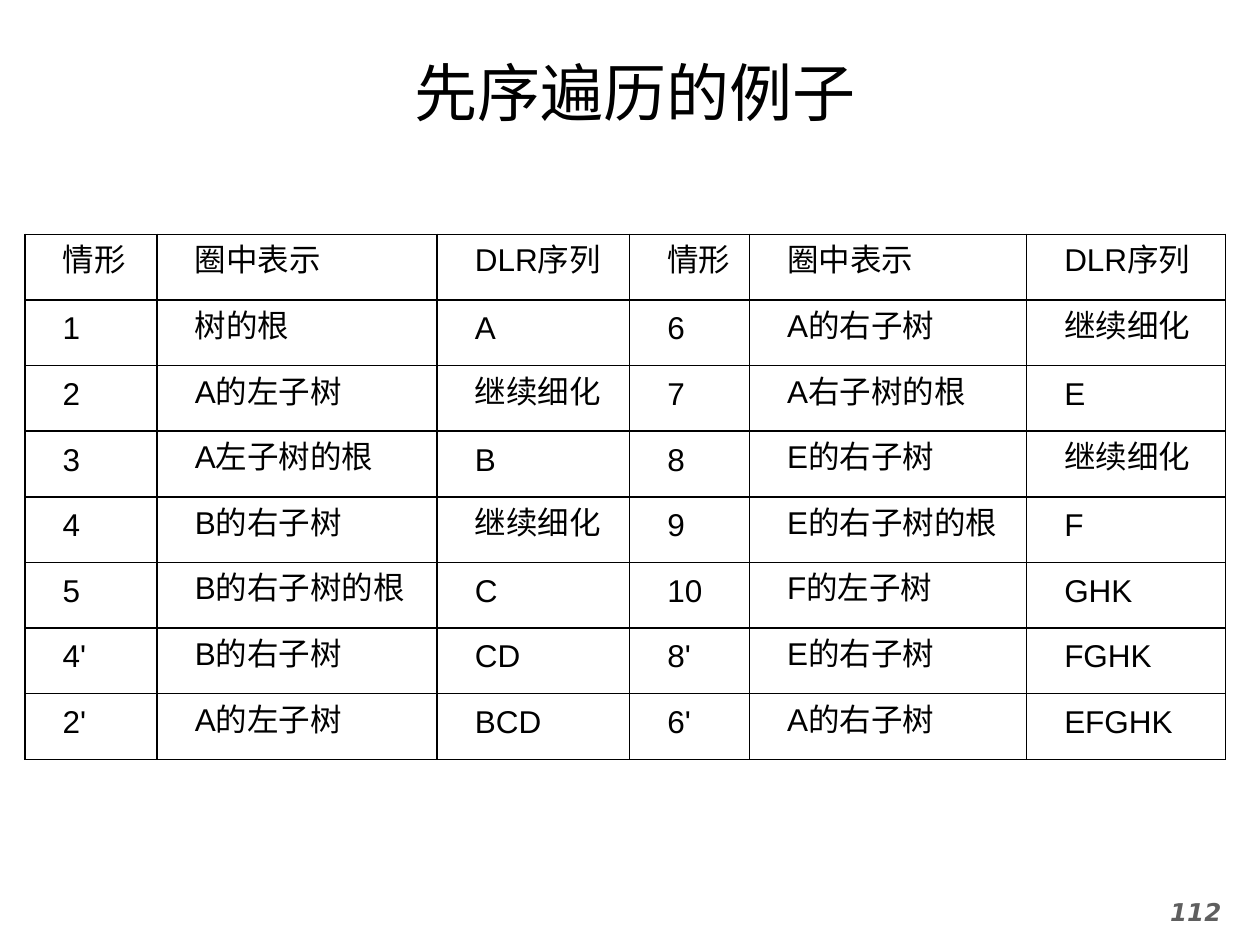
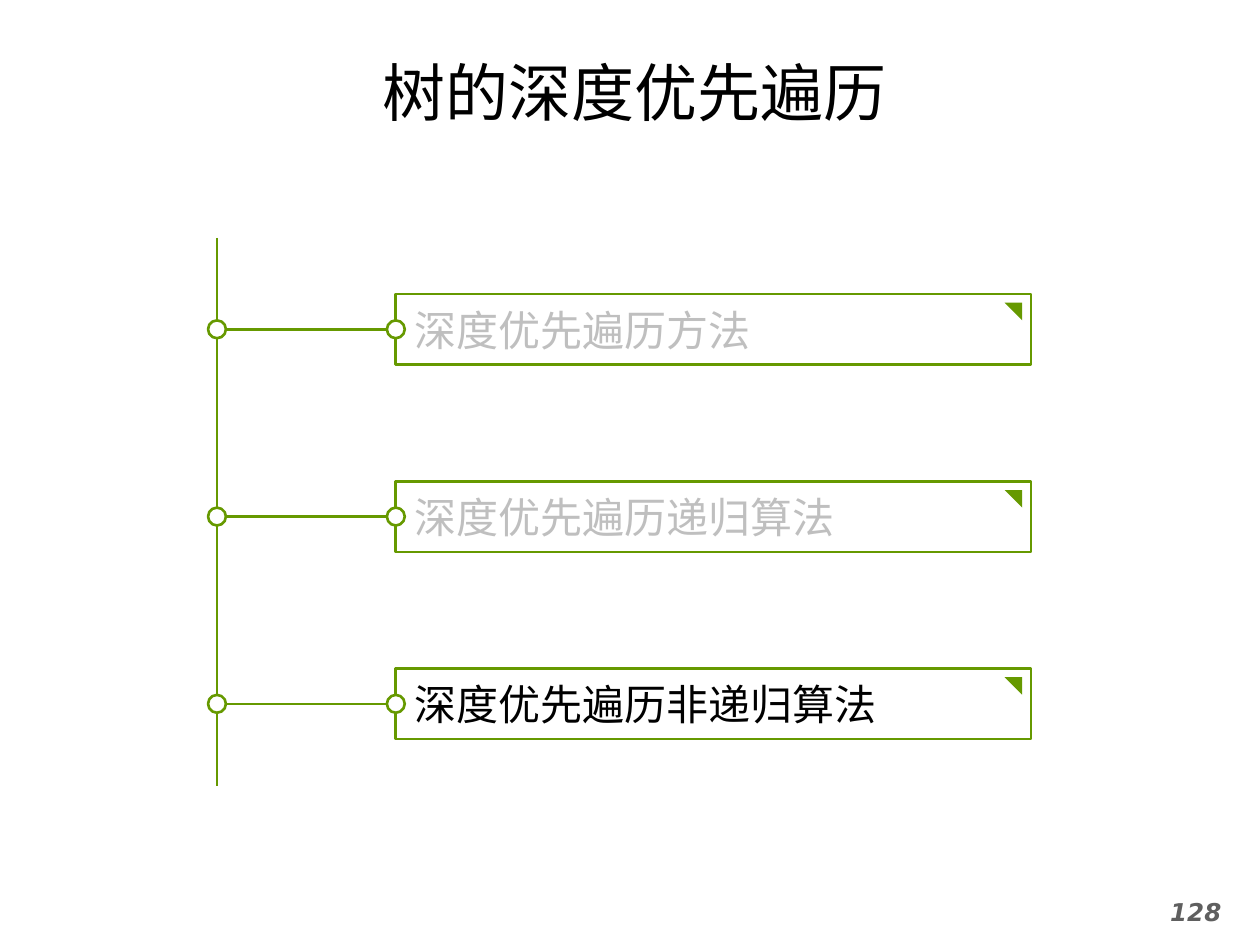
from dataclasses import dataclass

from lxml import etree
from pptx import Presentation
from pptx import util as u
from pptx.dml import color as c
from pptx.enum import shapes as s
from pptx.enum import text as t
from pptx.oxml import ns

Pt = u.Pt


@dataclass(frozen=True)
class Theme:
    black: str = "000000"
    white: str = "FFFFFF"
    green: str = "669900"
    muted: str = "BFBFBF"
    page_gray: str = "5F5F5F"
    mono: str = "Noto Sans Mono"
    cjk: str = "Noto Sans CJK JP"
    table_font: str = "Arial"
    number_font: str = "DejaVu Sans"
    title_size: float = 36
    topic_size: float = 24
    table_size: float = 18
    number_size: float = 14
    line_width: float = 1.5
    border_width: float = 1


@dataclass(frozen=True)
class Box:
    left: float
    top: float
    width: float
    height: float

    def points(self) -> tuple:
        return Pt(self.left), Pt(self.top), Pt(self.width), Pt(self.height)


@dataclass(frozen=True)
class Topic:
    label: str
    active: bool = False


THEME = Theme()

# Places shared by both slides
TITLE_BOX = Box(19.4, 27, 686.9, 50.8)
NUMBER_BOX = Box(646.6, 509, 73.4, 31)

# Traversal table
TABLE_LEFT, TABLE_TOP, ROW_HEIGHT = 14.2, 133.9, 37.53
COLUMN_WIDTHS = (75.6, 160, 110, 68.4, 158.4, 113.8)
CELL_INDENT, CELL_LINE = 21.6, 15.6
TRAVERSAL_ROWS = (
    ("情形", "圈中表示", "DLR序列") * 2,
    ("1", "树的根", "A", "6", "A的右子树", "继续细化"),
    ("2", "A的左子树", "继续细化", "7", "A右子树的根", "E"),
    ("3", "A左子树的根", "B", "8", "E的右子树", "继续细化"),
    ("4", "B的右子树", "继续细化", "9", "E的右子树的根", "F"),
    ("5", "B的右子树的根", "C", "10", "F的左子树", "GHK"),
    ("4'", "B的右子树", "CD", "8'", "E的右子树", "FGHK"),
    ("2'", "A的左子树", "BCD", "6'", "A的右子树", "EFGHK"),
)

# Topic list along a vertical rail
RAIL_X, RAIL_TOP, RAIL_BOTTOM = 124, 136, 449
TOPIC_LEFT, TOPIC_WIDTH, TOPIC_HEIGHT = 226.2, 362.9, 40.4
FIRST_TOPIC_MIDDLE, TOPIC_PITCH = 188.2, 107
TOPIC_INSET = 10.8
DOT_SIZE, CORNER_SIZE, CORNER_GAP = 10.2, 10, 5
TOPICS = (
    Topic("深度优先遍历方法"),
    Topic("深度优先遍历递归算法"),
    Topic("深度优先遍历非递归算法", active=True),
)


def rgb(value: str) -> c.RGBColor:
    return c.RGBColor.from_string(value)


def format_text(para, font: str, size: float, color: str) -> None:
    for span in para.runs:
        span.font.name = font
        span.font.size = Pt(size)
        span.font.color.rgb = rgb(color)
        east_asian = etree.SubElement(span.font._element, ns.qn("a:ea"))
        east_asian.set("typeface", THEME.cjk)


def add_page(deck, title: str, number: str, title_font: str):
    """Add a slide with the shared title and page number."""
    page = deck.slides.add_slide(deck.slide_layouts[5])
    heading = page.shapes.title
    heading.left, heading.top, heading.width, heading.height = TITLE_BOX.points()
    frame = heading.text_frame
    frame.text = title
    frame.auto_size = t.MSO_AUTO_SIZE.NONE
    frame.margin_top = frame.margin_bottom = 0
    frame.vertical_anchor = t.MSO_ANCHOR.MIDDLE
    frame.paragraphs[0].alignment = t.PP_ALIGN.CENTER
    format_text(frame.paragraphs[0], title_font, THEME.title_size, THEME.black)

    frame = page.shapes.add_textbox(*NUMBER_BOX.points()).text_frame
    frame.word_wrap = True
    frame.text = number
    para = frame.paragraphs[0]
    para.alignment = t.PP_ALIGN.CENTER
    format_text(para, THEME.number_font, THEME.number_size, THEME.page_gray)
    para.runs[0].font.bold = para.runs[0].font.italic = True
    return page


def add_borders(cell) -> None:
    properties = cell._tc.get_or_add_tcPr()
    for index, side in enumerate(("lnL", "lnR", "lnT", "lnB")):
        border = etree.Element(ns.qn(f"a:{side}"), w=str(Pt(THEME.border_width)))
        fill = etree.SubElement(border, ns.qn("a:solidFill"))
        etree.SubElement(fill, ns.qn("a:srgbClr"), val=THEME.black)
        properties.insert(index, border)


def fill_cell(cell, label: str) -> None:
    cell.text_frame.text = label
    cell.fill.background()
    cell.margin_left = cell.margin_right = cell.margin_top = cell.margin_bottom = 0
    cell.vertical_anchor = t.MSO_ANCHOR.MIDDLE
    para = cell.text_frame.paragraphs[0]
    para.line_spacing = Pt(CELL_LINE)
    para._p.get_or_add_pPr().set("indent", str(Pt(CELL_INDENT)))
    format_text(para, THEME.table_font, THEME.table_size, THEME.black)
    add_borders(cell)


def add_traversal_table(page) -> None:
    area = Box(TABLE_LEFT, TABLE_TOP, sum(COLUMN_WIDTHS), ROW_HEIGHT * len(TRAVERSAL_ROWS))
    table = page.shapes.add_table(
        len(TRAVERSAL_ROWS), len(COLUMN_WIDTHS), *area.points()
    ).table
    table.first_row = table.horz_banding = False
    for column, width in zip(table.columns, COLUMN_WIDTHS):
        column.width = Pt(width)
    for row, labels in zip(table.rows, TRAVERSAL_ROWS):
        row.height = Pt(ROW_HEIGHT)
        for cell, label in zip(row.cells, labels):
            fill_cell(cell, label)


def add_filled(page, kind, area: Box, fill: str, outlined: bool = True):
    shape = page.shapes.add_shape(kind, *area.points())
    shape.shadow.inherit = False
    shape.fill.solid()
    shape.fill.fore_color.rgb = rgb(fill)
    if outlined:
        shape.line.color.rgb = rgb(THEME.green)
        shape.line.width = Pt(THEME.line_width)
    else:
        shape.line.fill.background()
    return shape


def add_line(page, x1: float, y1: float, x2: float, y2: float):
    line = page.shapes.add_connector(
        s.MSO_CONNECTOR.STRAIGHT, Pt(x1), Pt(y1), Pt(x2), Pt(y2)
    )
    line.line.color.rgb = rgb(THEME.green)
    line.line.width = Pt(THEME.line_width)
    etree.SubElement(line._element.spPr, ns.qn("a:effectLst"))
    return line


def add_topic(page, topic: Topic, middle: float) -> None:
    # Labelled box
    top = middle - TOPIC_HEIGHT / 2
    area = Box(TOPIC_LEFT, top, TOPIC_WIDTH, TOPIC_HEIGHT)
    box = add_filled(page, s.MSO_SHAPE.RECTANGLE, area, THEME.white)
    frame = box.text_frame
    frame.text = topic.label
    frame.margin_left = Pt(TOPIC_INSET)
    frame.margin_right = frame.margin_top = frame.margin_bottom = 0
    frame.vertical_anchor = t.MSO_ANCHOR.MIDDLE
    frame.paragraphs[0].alignment = t.PP_ALIGN.LEFT
    color = THEME.black if topic.active else THEME.muted
    format_text(frame.paragraphs[0], THEME.mono, THEME.topic_size, color)

    # Corner mark
    corner_left = TOPIC_LEFT + TOPIC_WIDTH - CORNER_GAP - CORNER_SIZE
    corner = Box(corner_left, top + CORNER_GAP, CORNER_SIZE, CORNER_SIZE)
    mark = add_filled(page, s.MSO_SHAPE.RIGHT_TRIANGLE, corner, THEME.green, outlined=False)
    mark.rotation = 180

    # Branch from the box to the rail, with a dot at each end
    branch = add_line(page, TOPIC_LEFT, middle, RAIL_X, middle)
    branch.begin_connect(box, 1)
    for x in (RAIL_X, TOPIC_LEFT):
        dot = Box(x - DOT_SIZE / 2, middle - DOT_SIZE / 2, DOT_SIZE, DOT_SIZE)
        add_filled(page, s.MSO_SHAPE.OVAL, dot, THEME.white)


def main() -> None:
    deck = Presentation()
    deck.slide_width, deck.slide_height = Pt(720), Pt(540)

    # Preorder example
    page = add_page(deck, "先序遍历的例子", "112", THEME.mono)
    add_traversal_table(page)

    # Depth-first topics
    page = add_page(deck, "树的深度优先遍历", "128", THEME.cjk)
    add_line(page, RAIL_X, RAIL_TOP, RAIL_X, RAIL_BOTTOM)
    for index, topic in enumerate(TOPICS):
        add_topic(page, topic, FIRST_TOPIC_MIDDLE + index * TOPIC_PITCH)

    deck.save("out.pptx")


if __name__ == "__main__":
    main()
